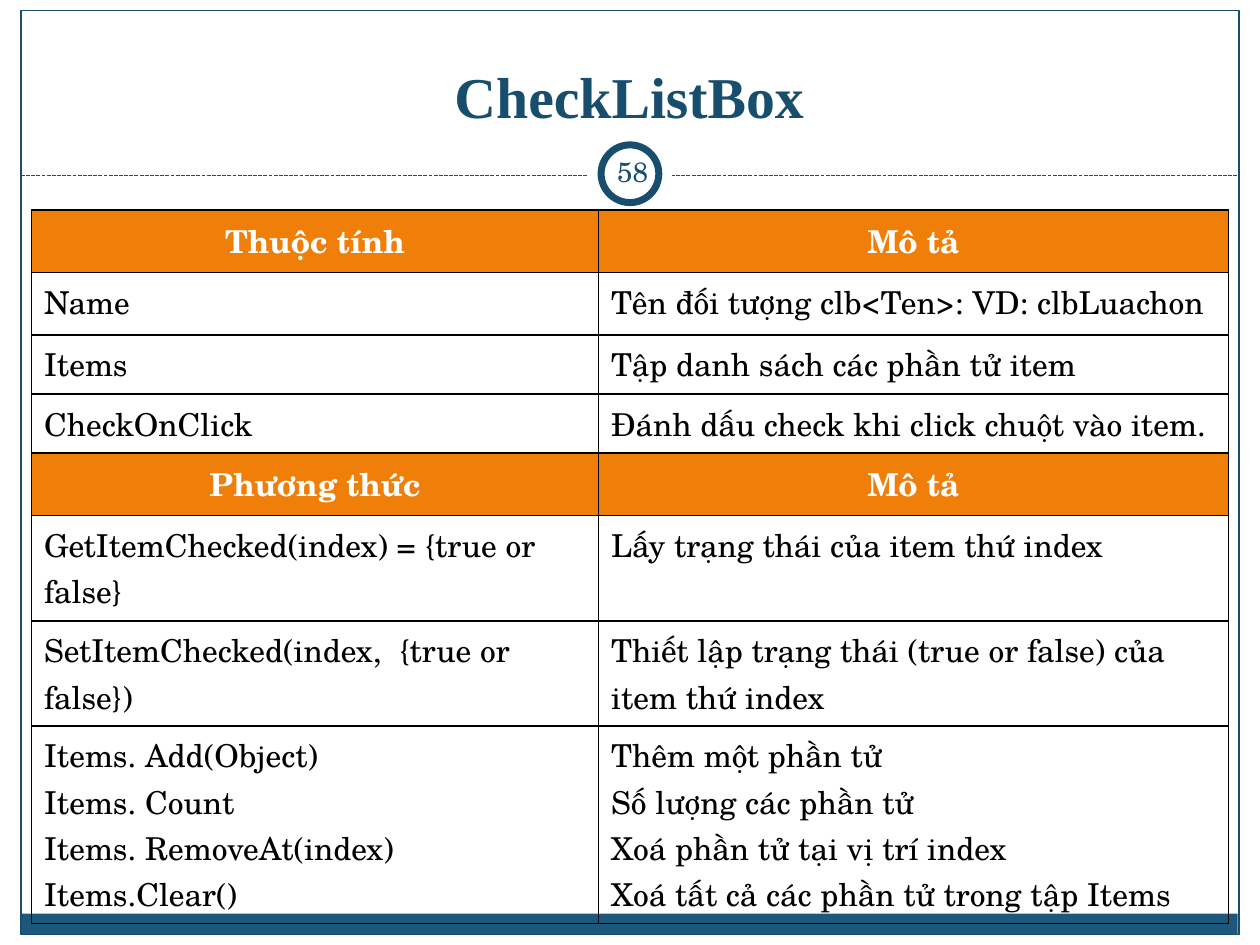
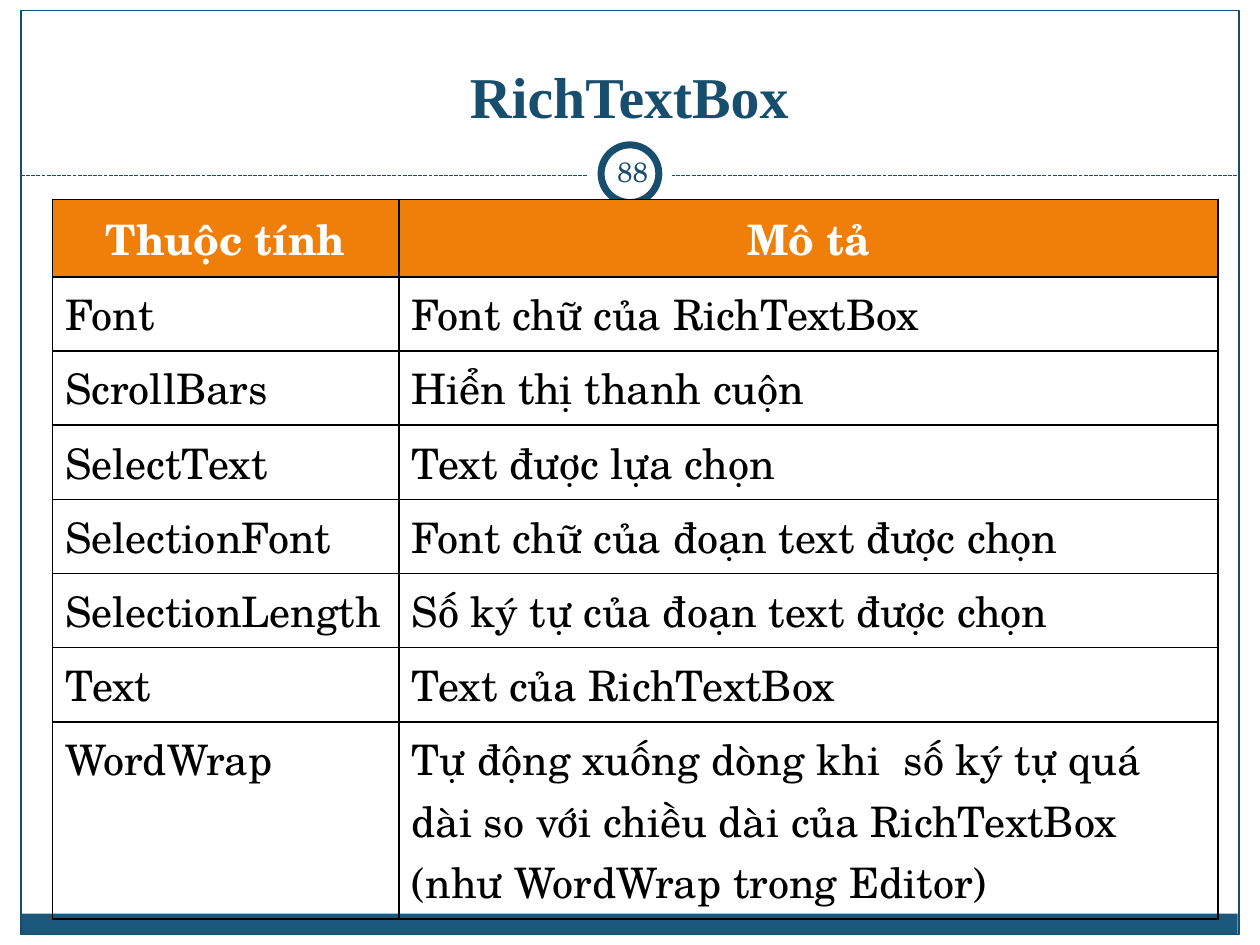
from lxml import etree
from pptx import Presentation
from pptx.dml.color import RGBColor
from pptx.enum.dml import MSO_LINE
from pptx.enum.shapes import MSO_CONNECTOR, MSO_SHAPE
from pptx.enum.text import MSO_ANCHOR, PP_ALIGN
from pptx.oxml.ns import qn
from pptx.util import Pt

NAVY = RGBColor(0x18, 0x4E, 0x6D)
BAND_BLUE = RGBColor(0x1B, 0x58, 0x7C)
ORANGE = RGBColor(0xF0, 0x7F, 0x09)
BLACK = RGBColor(0, 0, 0)
WHITE = RGBColor(0xFF, 0xFF, 0xFF)

TITLE_FONT = "Times New Roman"
BODY_FONT = "TeX Gyre Schola"

RECT, OVAL = MSO_SHAPE.RECTANGLE, MSO_SHAPE.OVAL
STRAIGHT = MSO_CONNECTOR.STRAIGHT
SYS_DASH = MSO_LINE.SQUARE_DOT
CENTER, LEFT = PP_ALIGN.CENTER, PP_ALIGN.LEFT
MIDDLE, BOTTOM = MSO_ANCHOR.MIDDLE, MSO_ANCHOR.BOTTOM

HEADER = ("Thuộc tính", "Mô tả")
METHOD_HEADER = ("Phương thức", "Mô tả")

CHECK_LIST_ROWS = [
    HEADER,
    ("Name", "Tên đối tượng clb<Ten>: VD: clbLuachon"),
    ("Items", "Tập danh sách các phần tử item"),
    ("CheckOnClick", "Đánh dấu check khi click chuột vào item."),
    METHOD_HEADER,
    ("GetItemChecked(index) = {true or false}",
     "Lấy trạng thái của item thứ index"),
    ("SetItemChecked(index,  {true or false})",
     "Thiết lập trạng thái (true or false) của item thứ index"),
    ("Items. Add(Object)\nItems. Count\nItems. RemoveAt(index)\nItems.Clear()",
     "Thêm một phần tử\nSố lượng các phần tử\nXoá phần tử tại vị trí index\n"
     "Xoá tất cả các phần tử trong tập Items"),
]

RICH_TEXT_ROWS = [
    HEADER,
    ("Font", "Font chữ của RichTextBox"),
    ("ScrollBars", "Hiển thị thanh cuộn"),
    ("SelectText", "Text được lựa chọn"),
    ("SelectionFont", "Font chữ của đoạn text được chọn"),
    ("SelectionLength", "Số ký tự của đoạn text được chọn"),
    ("Text", "Text của RichTextBox"),
    ("WordWrap",
     "Tự động xuống dòng khi  số ký tự quá dài so với chiều dài của "
     "RichTextBox (như WordWrap trong Editor)"),
]


class Deck:
    """Holds the presentation, its style and the slide being built."""

    def __init__(self):
        self.prs = Presentation()
        self.prs.slide_width, self.prs.slide_height = Pt(720), Pt(540)
        self.s = None

    def new_slide(self, title):
        """Start a slide with the shared frame, band, ring and title."""
        self.s = self.prs.slides.add_slide(self.prs.slide_layouts[6])
        self.shape(RECT, 11.75, 522, 695.5, 12, fill=BAND_BLUE)
        self.shape(RECT, 12, 6, 696, 528, line=NAVY)
        self.dashed_line(12, 708, 100.5)
        self.shape(OVAL, 336, 75.6, 48, 48, fill=WHITE)
        self.shape(OVAL, 343.5, 82.8, 33, 33, fill=WHITE, line=NAVY, weight=4)
        self.text(title, 23.6, 18, 672, 60, TITLE_FONT, 33, BOTTOM, bold=True)

    def shape(self, kind, x, y, w, h, fill=None, line=None, weight=0.75):
        sp = self.s.shapes.add_shape(kind, Pt(x), Pt(y), Pt(w), Pt(h))
        sp.shadow.inherit = False
        if fill is None:
            sp.fill.background()
        else:
            sp.fill.solid()
            sp.fill.fore_color.rgb = fill
        if line is None:
            sp.line.fill.background()
        else:
            sp.line.color.rgb = line
            sp.line.width = Pt(weight)

    def dashed_line(self, x1, x2, y):
        c = self.s.shapes.add_connector(STRAIGHT, Pt(x1), Pt(y), Pt(x2), Pt(y))
        c.line.color.rgb = NAVY
        c.line.width = Pt(0.75)
        c.line.dash_style = SYS_DASH
        etree.SubElement(c._element.spPr, qn("a:effectLst"))

    def text(self, text, x, y, w, h, font, size, anchor, bold=False, inset=7.2):
        tf = self.s.shapes.add_textbox(Pt(x), Pt(y), Pt(w), Pt(h)).text_frame
        tf.word_wrap = True
        tf.vertical_anchor = anchor
        tf.margin_left = tf.margin_right = Pt(inset)
        tf.margin_top = tf.margin_bottom = Pt(3.6)
        tf.text = text
        self.format_text(tf, font, size, NAVY, bold, CENTER)

    def format_text(self, tf, font, size, color, bold, align):
        for p in tf.paragraphs:
            p.alignment = align
            for r in p.runs:
                r.font.name, r.font.size = font, Pt(size)
                r.font.color.rgb, r.font.bold = color, bold

    def table(self, rows, x, y, widths, heights, size):
        frame = self.s.shapes.add_table(len(rows), len(widths), Pt(x), Pt(y),
                                        Pt(sum(widths)), Pt(sum(heights)))
        table = frame.table
        table.first_row = table.horz_banding = False
        for column, width in zip(table.columns, widths):
            column.width = Pt(width)
        for row, height, texts in zip(table.rows, heights, rows):
            row.height = Pt(height)
            is_header = texts in (HEADER, METHOD_HEADER)
            for cell, text in zip(row.cells, texts):
                self.cell(cell, text, size, is_header)

    def cell(self, cell, text, size, is_header):
        cell.text_frame.text = text
        self.border(cell)
        if is_header:
            cell.fill.solid()
            cell.fill.fore_color.rgb = ORANGE
        else:
            cell.fill.background()
        self.format_text(cell.text_frame, BODY_FONT, size,
                         WHITE if is_header else BLACK, is_header,
                         CENTER if is_header else LEFT)

    def border(self, cell):
        """Draw a black 1 pt line on all four sides; call before filling."""
        props = cell._tc.get_or_add_tcPr()
        for side in ("a:lnL", "a:lnR", "a:lnT", "a:lnB"):
            ln = etree.SubElement(props, qn(side), w=str(Pt(1)))
            fill = etree.SubElement(ln, qn("a:solidFill"))
            etree.SubElement(fill, qn("a:srgbClr"), val=str(BLACK))

    def slide_number(self, number):
        """Write the number in the ring, above everything else."""
        self.text(number, 343.5, 80.6, 36, 34.5, BODY_FONT, 16, MIDDLE,
                  inset=3.6)


def main():
    deck = Deck()

    deck.new_slide("CheckListBox")
    deck.table(CHECK_LIST_ROWS, 18, 120, (324, 360),
               [35.7, 35.7, 33.8, 33.8, 35.7, 60.1, 60.1, 112.9], 18)
    deck.slide_number("58")

    deck.new_slide("RichTextBox")
    deck.table(RICH_TEXT_ROWS, 30, 114, (198, 468),
               [44.2] + [42.4] * 6 + [112.6], 24)
    deck.slide_number("88")

    deck.prs.save("out.pptx")


if __name__ == "__main__":
    main()
